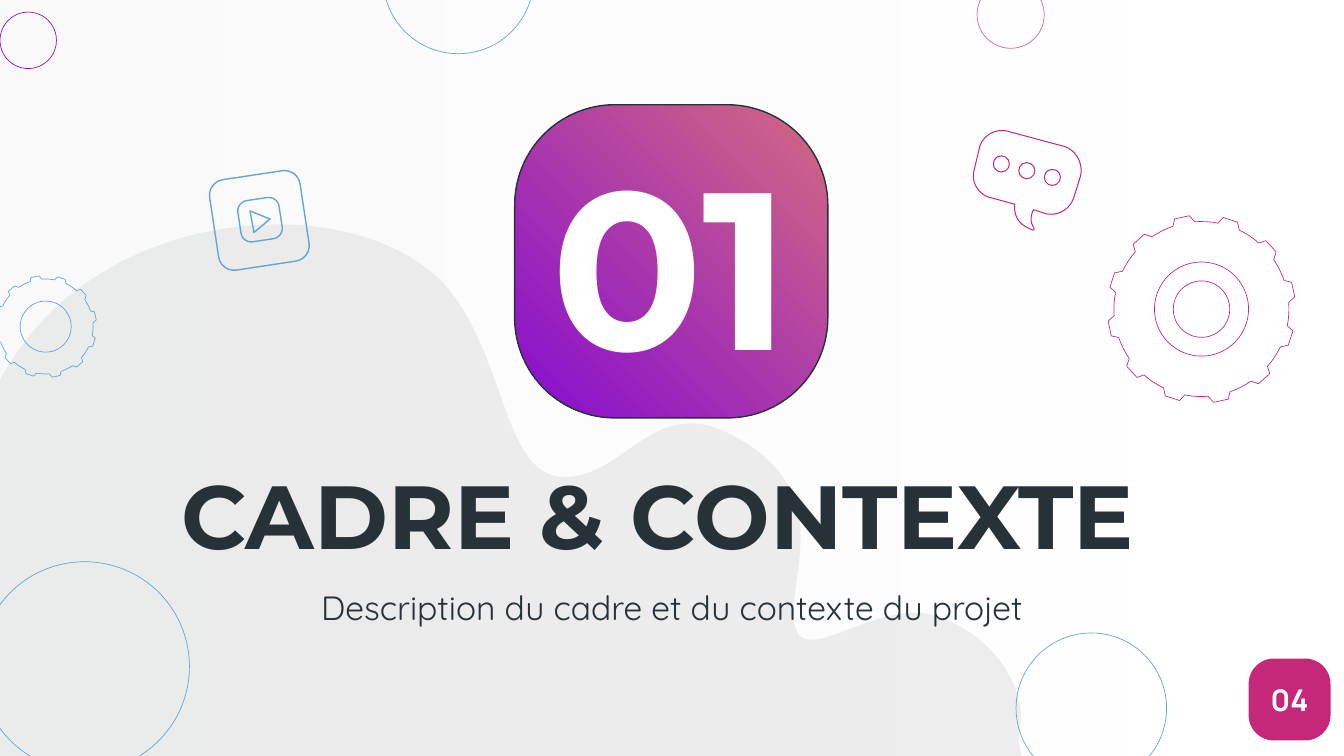
import math

import pptx
import pptx.dml.color
import pptx.enum.shapes
import pptx.enum.text
import pptx.oxml
import pptx.oxml.ns
import pptx.util
from pptx.util import Inches

BLUE, PURPLE, ROSE, PINK = "63A4D5", "860CD1", "D36980", "C52878"
DARK, WHITE = "263238", "FFFFFF"
FINE = 0.36
SHAPE = pptx.enum.shapes.MSO_SHAPE

WAVE = [
    (2.07, 1.67), (2.59, 1.67, 3.06, 1.84, 3.32, 2.13),
    (3.77, 2.65, 3.74, 3.55, 4.2, 3.55), (4.21, 3.55, 4.21, 3.55, 4.22, 3.55),
    (4.58, 3.53, 4.78, 3.15, 5.14, 3.15), (5.25, 3.15, 5.38, 3.19, 5.54, 3.29),
    (6.21, 3.71, 5.86, 4.28, 5.91, 4.64), (5.93, 4.73, 5.97, 4.76, 6.04, 4.76),
    (6.21, 4.76, 6.51, 4.56, 6.81, 4.56), (6.87, 4.56, 6.92, 4.57, 6.98, 4.59),
    (7.43, 4.74, 7.64, 5.16, 7.59, 5.41), (7.54, 5.66, 7.76, 5.97, 7.76, 5.97),
    (-0.25, 5.97), (-0.25, 5.97, -0.37, 4.35, -0.17, 3.27),
    (-0.17, 3.27, -0.01, 2.43, 0.88, 1.96), (1.26, 1.76, 1.68, 1.67, 2.07, 1.67),
]
BUBBLE = [
    (7.37, 1.47), (7.55, 1.52), (7.54, 1.65, 7.63, 1.69, 7.68, 1.71),
    (7.69, 1.72, 7.7, 1.7, 7.69, 1.69), (7.65, 1.63, 7.69, 1.56, 7.69, 1.56),
    (7.78, 1.59), (7.87, 1.61, 7.96, 1.56, 7.99, 1.47), (8.04, 1.31),
    (8.06, 1.22, 8.01, 1.12, 7.92, 1.09), (7.51, 0.98),
    (7.42, 0.95, 7.32, 1, 7.29, 1.09), (7.25, 1.26),
    (7.22, 1.35, 7.28, 1.45, 7.37, 1.47),
]
PLAY = [(1.86, 1.57), (1.89, 1.73), (2.01, 1.63)]


def color(value):
    return pptx.dml.color.RGBColor.from_string(value)


def style(shape, fill=None, line=None, width=FINE):
    shape.shadow.inherit = False
    if isinstance(fill, tuple):
        shape.fill.gradient()
        for stop, value in zip(shape.fill.gradient_stops, fill):
            stop.color.rgb = color(value)
    elif fill:
        shape.fill.solid()
        shape.fill.fore_color.rgb = color(fill)
    else:
        shape.fill.background()
    if line:
        shape.line.color.rgb = color(line)
        shape.line.width = pptx.util.Pt(width)
    else:
        shape.line.fill.background()
    return shape


def set_opacity(shape, percent):
    properties = shape._element.spPr
    for tone in properties.iter(pptx.oxml.ns.qn("a:srgbClr")):
        alpha = pptx.oxml.parse_xml(
            '<a:alpha xmlns:a="http://schemas.openxmlformats.org/drawingml/2006/main"'
            f' val="{percent * 1000}"/>')
        tone.append(alpha)


def add_preset(slide, kind, x, y, w, h, corner=None, turn=0, **look):
    shape = slide.shapes.add_shape(kind, Inches(x), Inches(y), Inches(w), Inches(h))
    if corner is not None:
        shape.adjustments[0] = corner
    shape.rotation = turn
    return style(shape, **look)


def add_circle(slide, cx, cy, radius, **look):
    return add_preset(slide, SHAPE.OVAL, cx - radius, cy - radius,
                      2 * radius, 2 * radius, **look)


def flatten(segments, steps=24):
    points = [segments[0]]
    for segment in segments[1:]:
        if len(segment) == 2:
            points.append(segment)
            continue
        corners = [points[-1], segment[:2], segment[2:4], segment[4:]]
        for step in range(1, steps + 1):
            t = step / steps
            weights = [math.comb(3, i) * t**i * (1 - t)**(3 - i) for i in range(4)]
            points.append(tuple(sum(w * corner[axis] for w, corner in zip(weights, corners))
                                for axis in (0, 1)))
    return points


def add_outline(slide, segments, **look):
    points = [(Inches(x), Inches(y)) for x, y in flatten(segments)]
    builder = slide.shapes.build_freeform(*points[0])
    builder.add_line_segments(points[1:], close=True)
    return style(builder.convert_to_shape(), **look)


def add_gear(slide, cx, cy, radius, hole, line):
    tooth = [(4.4, 0.93), (7.4, 1), (16.6, 1), (19, 0.93),
             (23, 0.93), (27, 0.93), (31, 0.93)]
    rim = []
    for start in range(0, 360, 30):
        for offset, reach in tooth:
            angle = math.radians(start + offset)
            rim.append((cx + radius * reach * math.cos(angle),
                        cy - radius * reach * math.sin(angle)))
    add_outline(slide, rim, line=line)
    add_circle(slide, cx, cy, hole, line=line)


def write(shape, text, font, size, ink, bold=False, align="CENTER", inset=0.1):
    frame = shape.text_frame
    frame.word_wrap = True
    frame.vertical_anchor = pptx.enum.text.MSO_ANCHOR.MIDDLE
    frame.margin_left = frame.margin_right = Inches(inset)
    frame.margin_top = frame.margin_bottom = Inches(inset)
    paragraph = frame.paragraphs[0]
    paragraph.alignment = getattr(pptx.enum.text.PP_ALIGN, align)
    run = paragraph.add_run()
    run.text = text
    run.font.name = font
    run.font.size = pptx.util.Pt(size)
    run.font.bold = bold
    run.font.color.rgb = color(ink)


def add_text(slide, x, y, w, h, text, **form):
    box = slide.shapes.add_textbox(Inches(x), Inches(y), Inches(w), Inches(h))
    write(box, text, **form)


def add_backdrop(slide):
    veil = add_preset(slide, SHAPE.RECTANGLE, -0.07, -0.07, 10.14, 5.77,
                      fill=(WHITE, "F3F3F3"))
    veil.fill.gradient_angle = 180
    wave = add_outline(slide, WAVE, fill="D6D7D7")
    for layer in (veil, wave):
        set_opacity(layer, 41)
    for cx, cy, radius, line in [
        (8.12, 5.27, 0.56, BLUE), (0.21, 0.3, 0.21, PURPLE), (7.52, 0.11, 0.25, ROSE),
        (3.41, -0.16, 0.56, BLUE), (0.63, 4.96, 0.78, BLUE),
    ]:
        add_circle(slide, cx, cy, radius, line=line)
    add_gear(slide, 0.34, 2.43, 0.38, 0.19, BLUE)
    add_gear(slide, 8.94, 2.3, 0.7, 0.35, PINK)
    add_circle(slide, 8.94, 2.3, 0.21, line=PINK)


def add_play_icon(slide):
    for x, y, side, corner in [(1.59, 1.3, 0.68, 0.17), (1.78, 1.48, 0.31, 0.25)]:
        add_preset(slide, SHAPE.ROUNDED_RECTANGLE, x, y, side, side, corner=corner,
                   turn=351.4, line=BLUE, width=0.75)
    add_outline(slide, PLAY, line=BLUE, width=0.75)


def add_chat_icon(slide):
    for dot in range(3):
        add_circle(slide, 7.45 + 0.19 * dot, 1.22 + 0.05 * dot, 0.06, line=PINK, width=0.54)
    add_outline(slide, BUBBLE, line=PINK, width=0.54)


def main():
    deck = pptx.Presentation()
    deck.slide_width = Inches(10)
    deck.slide_height = Inches(10 * 9 / 16)
    slide = deck.slides.add_slide(deck.slide_layouts[6])
    add_backdrop(slide)

    badge = add_preset(slide, SHAPE.ROUNDED_RECTANGLE, 3.83, 0.78, 2.33, 2.33, corner=0.32,
                       fill=(ROSE, PURPLE), line=DARK, width=0.75)
    badge.fill.gradient_angle = 225
    add_text(slide, 1.25, 3.36, 7.49, 0.92, "CADRE & CONTEXTE",
             font="Montserrat", size=48, ink=DARK, bold=True, align="LEFT")
    add_text(slide, 3.43, 1.01, 3.13, 1.87, "01",
             font="Montserrat", size=120, ink=WHITE, bold=True)
    add_text(slide, 1.85, 4.18, 6.3, 0.68, "Description du cadre et du contexte du projet",
             font="Quicksand", size=18, ink=DARK)

    add_play_icon(slide)
    add_chat_icon(slide)
    page = add_preset(slide, SHAPE.ROUNDED_RECTANGLE, 9.29, 4.9, 0.61, 0.61,
                      corner=0.31, fill=PINK)
    write(page, "04", font="Manrope", size=16, ink=WHITE, bold=True, inset=0.05)
    deck.save("out.pptx")


if __name__ == "__main__":
    main()
